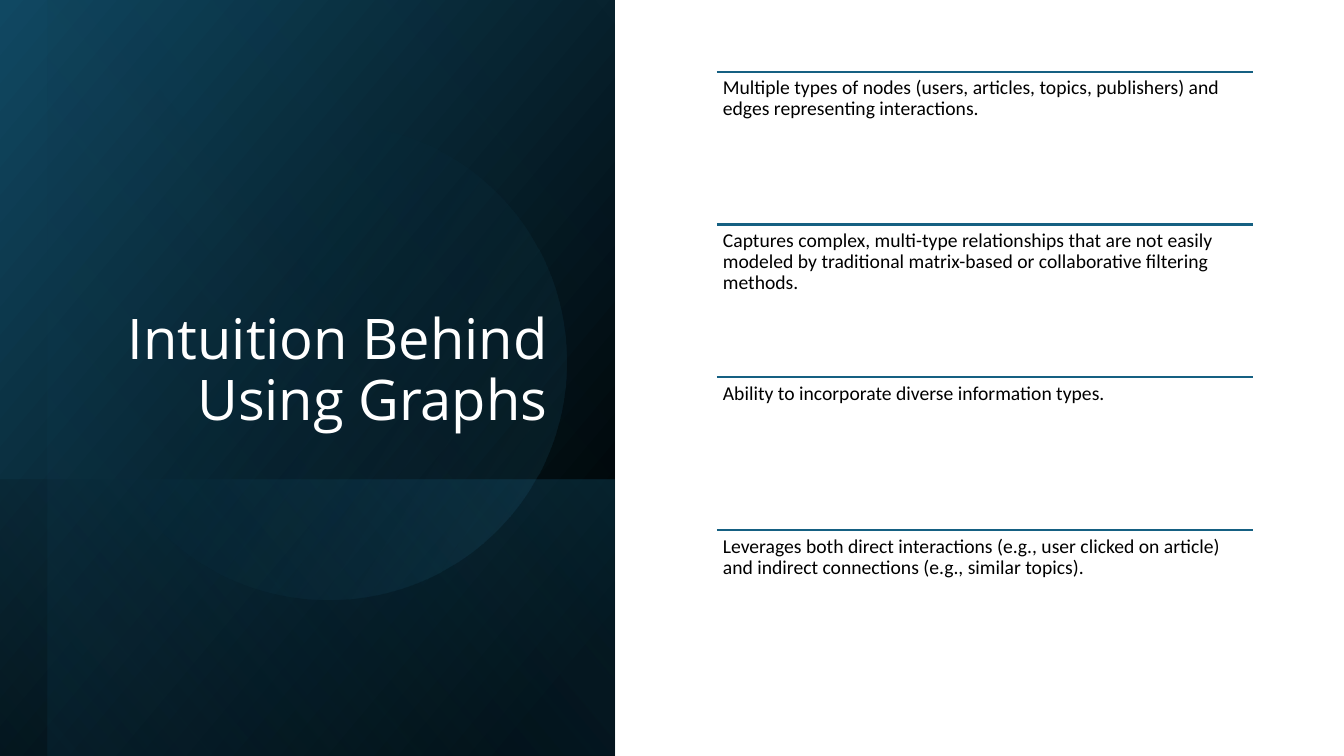
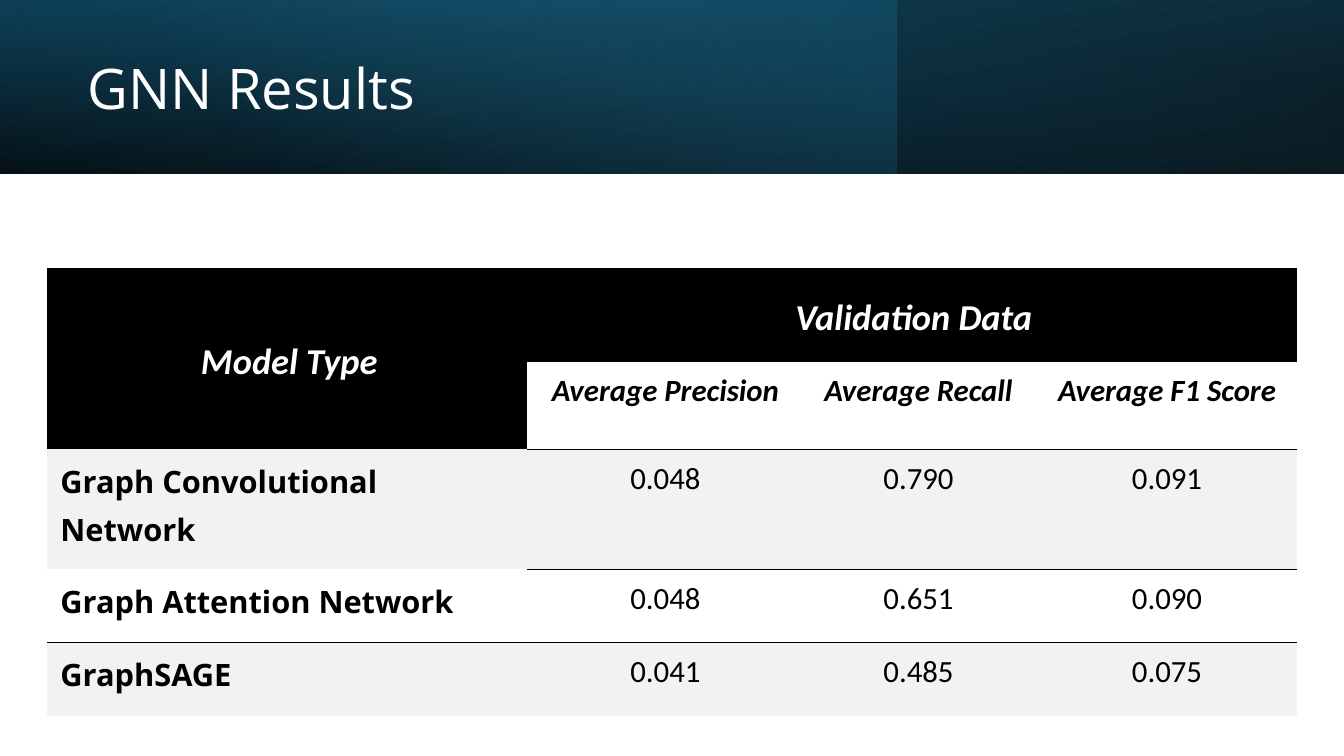
from pptx import Presentation
from pptx.dml.color import RGBColor
from pptx.enum.shapes import MSO_CONNECTOR, MSO_SHAPE
from pptx.enum.text import MSO_ANCHOR, PP_ALIGN
from pptx.oxml import parse_xml
from pptx.oxml.ns import nsdecls
from pptx.util import Inches, Pt

COLORS = {
    "black": "000000", "white": "FFFFFF", "navy": "104862",
    "teal": "156082", "sky": "46B1E1", "stripe": "F2F2F2",
}
TITLE_FONT, BODY_FONT = "Open Sans", "Calibri"
TITLE_FORMAT = {"size": Pt(40), "name": TITLE_FONT}


def add_gradient(slide, geometry, box, stops, angle, rotation=0, flip=True):
    panel = slide.shapes.add_shape(geometry, *map(Inches, box))
    panel.rotation = rotation
    panel.shadow.inherit = False
    panel.line.fill.background()
    properties = panel.element.spPr
    if flip:
        properties.xfrm.set("flipH", "1")
    stop_xml = "".join(
        f'<a:gs pos="{position * 1000}"><a:srgbClr val="{COLORS[color]}">'
        f'<a:alpha val="{opacity * 1000}"/></a:srgbClr></a:gs>'
        for position, color, opacity in stops)
    properties.insert(2, parse_xml(
        f'<a:gradFill {nsdecls("a")} rotWithShape="1"><a:gsLst>{stop_xml}</a:gsLst>'
        f'<a:lin ang="{angle * 60000}" scaled="0"/></a:gradFill>'))


def write_text(frame, text, color, font_format, paragraph_format):
    frame.text = text
    paragraph = frame.paragraphs[0]
    for name, value in paragraph_format.items():
        setattr(paragraph, name, value)
    font = paragraph.runs[0].font
    for name, value in font_format.items():
        setattr(font, name, value)
    font.color.rgb = RGBColor.from_string(COLORS[color])


deck = Presentation()
deck.slide_width, deck.slide_height = Inches(13.33), Inches(7.5)

RECT, OVAL = MSO_SHAPE.RECTANGLE, MSO_SHAPE.OVAL
slides = [
    {
        "title": "Intuition Behind Using Graphs",
        "title_box": (0.9, 0.64, 4.63, 3.7),
        "align": PP_ALIGN.RIGHT,
        "anchor": MSO_ANCHOR.BOTTOM,
        "panels": [
            (RECT, (-0.7, 0.7, 7.5, 6.1), [(8, "black", 100), (100, "navy", 100)], 50, 90),
            (RECT, (1.67, 3.08, 2.74, 6.1), [(2, "teal", 29), (100, "black", 30)], 130, 90),
            (RECT, (-0.46, 0.93, 7.5, 5.63), [(0, "black", 0), (99, "teal", 11)], 130, 90),
            (OVAL, (0.9, 1.23, 4.72, 4.72), [(39, "teal", 0), (100, "sky", 15)], 290, 101.6, False),
        ],
    },
    {
        "title": "GNN Results",
        "title_box": (0.77, 0.27, 7.72, 1.27),
        "align": PP_ALIGN.LEFT,
        "anchor": MSO_ANCHOR.MIDDLE,
        "panels": [
            (RECT, (0, 0, 13.33, 1.72), [(0, "black", 96), (100, "navy", 100)], 100, 180),
            (RECT, (0, 0, 8.89, 1.72), [(0, "teal", 41), (74, "sky", 0)], 140, 0, False),
            (RECT, (0, 0, 13.33, 1.72), [(0, "black", 63), (78, "teal", 15)], 260),
        ],
    },
]
built = []
for content in slides:
    slide = deck.slides.add_slide(deck.slide_layouts[5])
    for panel in content["panels"]:
        add_gradient(slide, *panel)
    title = slide.shapes.title
    slide.shapes.element.append(title.element)
    title.left, title.top, title.width, title.height = map(Inches, content["title_box"])
    write_text(title.text_frame, content["title"], "white", TITLE_FORMAT,
               {"alignment": content["align"], "line_spacing": 0.9})
    title.text_frame.vertical_anchor = content["anchor"]
    built.append(slide)
intuition, results = built

reasons = [
    "Multiple types of nodes (users, articles, topics, publishers) and edges representing interactions.",
    "Captures complex, multi-type relationships that are not easily modeled by traditional "
    "matrix-based or collaborative filtering methods.",
    "Ability to incorporate diverse information types.",
    "Leverages both direct interactions (e.g., user clicked on article) and indirect connections "
    "(e.g., similar topics).",
]
reason_left, reason_width = Inches(7.11), Inches(5.32)
reason_height = Inches(1.517)
for index, reason in enumerate(reasons):
    top = Inches(0.71) + index * reason_height
    rule = intuition.shapes.add_connector(
        MSO_CONNECTOR.STRAIGHT, reason_left, top, reason_left + reason_width, top)
    rule.line.color.rgb = RGBColor.from_string(COLORS["teal"])
    rule.line.width = Pt(1.5)
    rule.element.spPr.append(parse_xml(f'<a:effectLst {nsdecls("a")}/>'))
    frame = intuition.shapes.add_textbox(
        reason_left, top, reason_width, reason_height).text_frame
    frame.word_wrap = True
    for side in ("left", "right", "top", "bottom"):
        setattr(frame, f"margin_{side}", Inches(0.06))
    write_text(frame, reason, "black", {"size": Pt(14), "name": BODY_FONT},
               {"line_spacing": 0.9, "space_after": Pt(5)})

scores = [
    ["Model Type", "Validation Data", "", ""],
    ["", "Average Precision", "Average Recall", "Average F1 Score"],
    ["Graph Convolutional Network", "0.048", "0.790", "0.091"],
    ["Graph Attention Network", "0.048", "0.651", "0.090"],
    ["GraphSAGE", "0.041", "0.485", "0.075"],
]
column_widths = [4.76, 2.7, 2.32, 2.61]
row_heights = [0.93] + [0.73] * 4
score_frame = results.shapes.add_table(
    len(scores), len(column_widths), Inches(0.47), Inches(2.66),
    Inches(sum(column_widths)), Inches(sum(row_heights)))
score_frame.element.xpath(".//a:tableStyleId")[0].text = "{2D5ABB26-0587-4C30-8999-92F81FD0307C}"
score_table = score_frame.table
for column, width in zip(score_table.columns, column_widths):
    column.width = Inches(width)
for row, height in zip(score_table.rows, row_heights):
    row.height = Inches(height)
score_table.cell(0, 0).merge(score_table.cell(1, 0))
score_table.cell(0, 1).merge(score_table.cell(0, 3))

for row_index, values in enumerate(scores):
    for column_index, value in enumerate(values):
        cell = score_table.cell(row_index, column_index)
        is_model = column_index == 0
        is_heading = row_index < 2
        is_dark = row_index == 0 or (is_heading and is_model)
        margins = {"left": 0.13, "top": 0.18 if is_dark else 0.05, "right": 0.09, "bottom": 0.18}
        for side, margin in margins.items():
            setattr(cell, f"margin_{side}", Inches(margin))
        cell.vertical_anchor = MSO_ANCHOR.MIDDLE if is_dark else MSO_ANCHOR.TOP
        if is_dark or row_index in (2, 4):
            cell.fill.solid()
            cell.fill.fore_color.rgb = RGBColor.from_string(COLORS["black" if is_dark else "stripe"])
        else:
            cell.fill.background()
        if value:
            font_format = {
                "size": Pt(26 if is_dark else 22),
                "name": TITLE_FONT if is_model and not is_heading else BODY_FONT,
                "bold": is_heading or is_model,
                "italic": is_heading,
            }
            align = PP_ALIGN.LEFT if is_model and not is_heading else PP_ALIGN.CENTER
            write_text(cell.text_frame, value, "white" if is_dark else "black", font_format,
                       {"alignment": align, "line_spacing": 1.15, "space_after": Pt(8)})
        if not is_dark and (row_index, column_index) != (2, 0):
            edge = "lnB" if row_index in (1, 3) else "lnT"
            cell_properties = score_frame.element.xpath(".//a:tr")[row_index].xpath("a:tc/a:tcPr")[column_index]
            cell_properties.insert(0, parse_xml(
                f'<a:{edge} {nsdecls("a")} w="{Pt(1)}"><a:solidFill>'
                f'<a:srgbClr val="{COLORS["black"]}"/></a:solidFill></a:{edge}>'))

deck.save("out.pptx")
